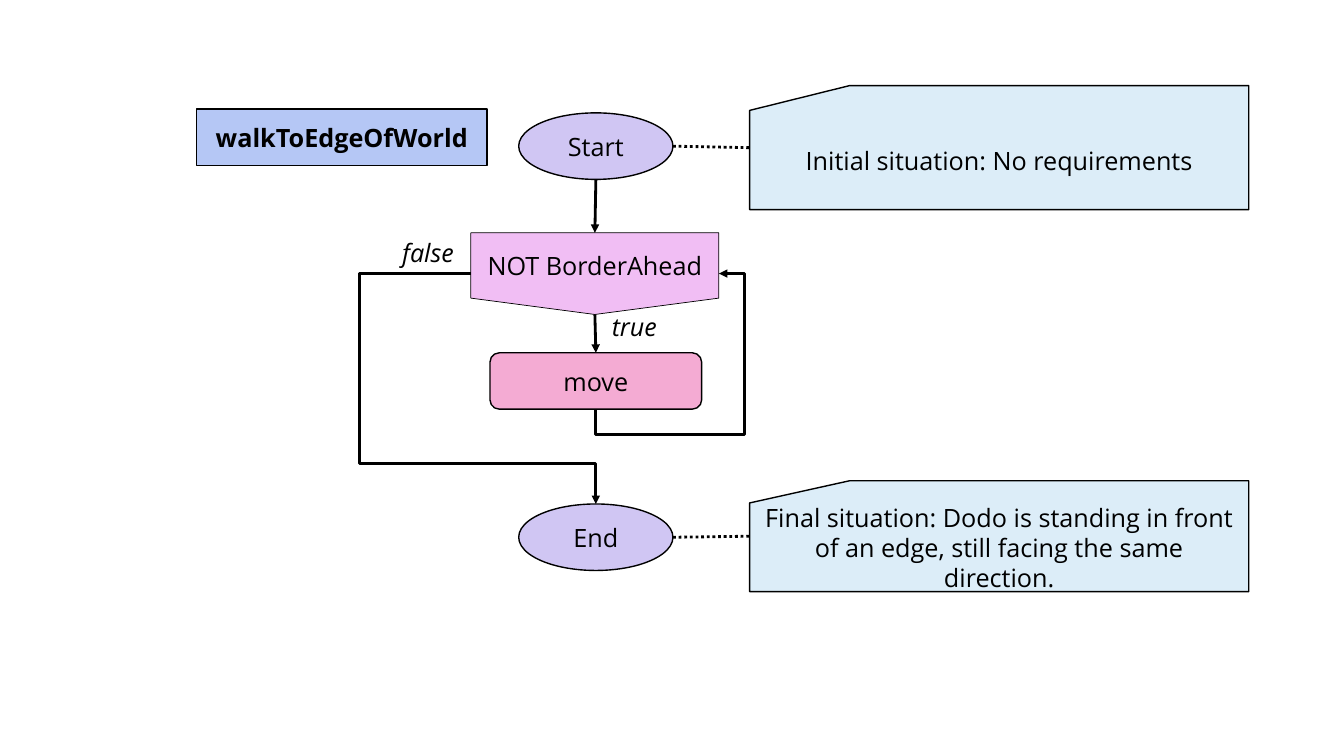
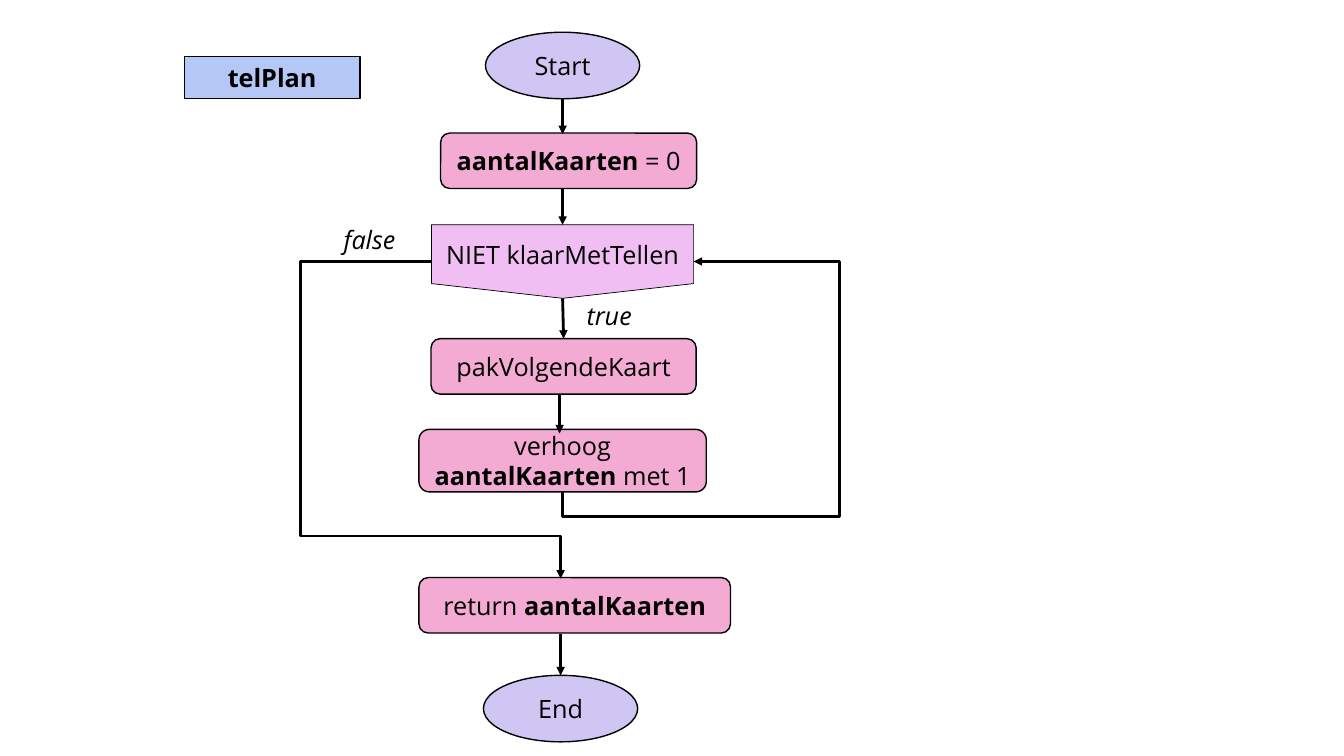
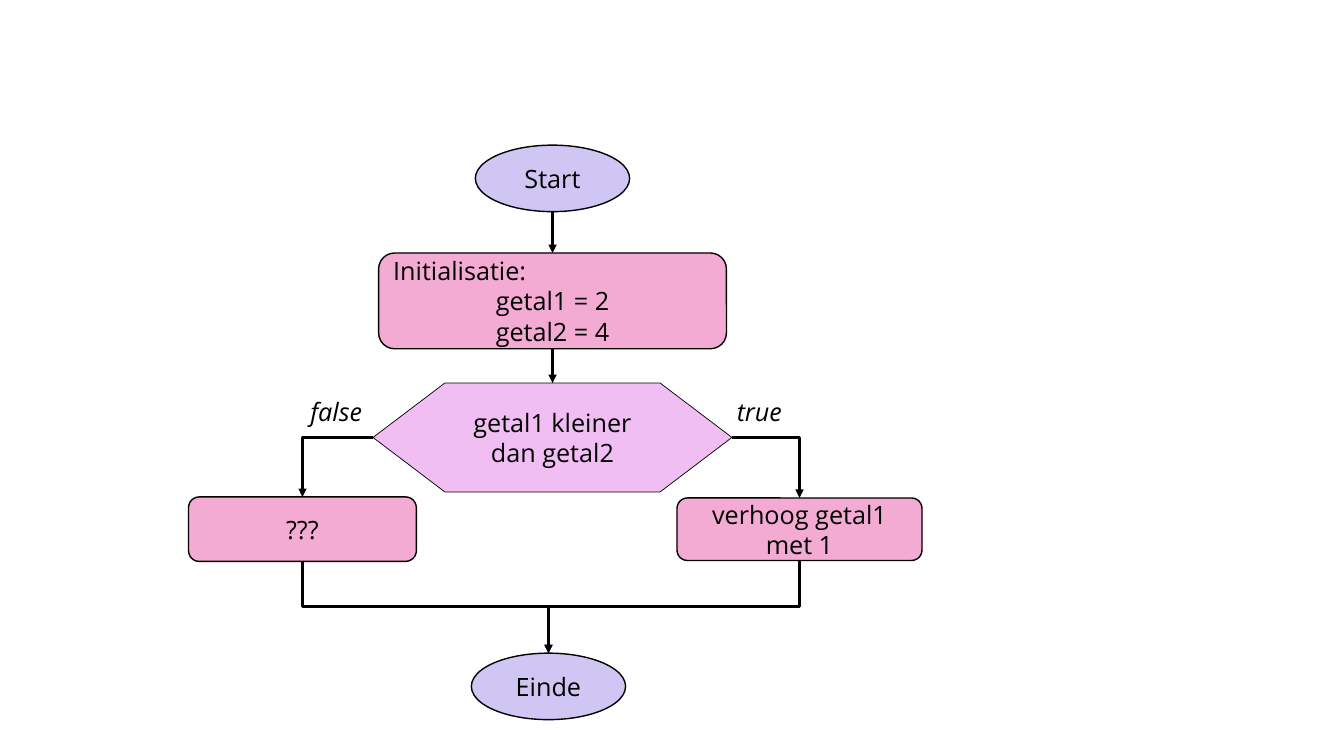
from dataclasses import dataclass
from typing import Any

from lxml import etree
from pptx import Presentation
from pptx.dml.color import RGBColor
from pptx.enum.dml import MSO_LINE
from pptx.enum.shapes import MSO_CONNECTOR, MSO_SHAPE
from pptx.enum.text import MSO_ANCHOR, MSO_AUTO_SIZE, PP_ALIGN
from pptx.oxml.ns import qn
from pptx.util import Inches, Pt

STRAIGHT, ELBOW = MSO_CONNECTOR.STRAIGHT, MSO_CONNECTOR.ELBOW
ELLIPSE = MSO_SHAPE.OVAL
CENTER, LEFT_ALIGNED = PP_ALIGN.CENTER, PP_ALIGN.LEFT
MIDDLE = MSO_ANCHOR.MIDDLE
GROW = MSO_AUTO_SIZE.SHAPE_TO_FIT_TEXT
DOTTED = MSO_LINE.ROUND_DOT
TOP, LEFT, BOTTOM, RIGHT = range(4)

COLORS = {
    "ink": "000000",
    "terminal": "D0C6F3",
    "action": "F4ABD3",
    "title": "B5C7F5",
    "condition": "F1BEF4",
    "situation": "DCEDF8",
}
# kind: preset shape, colour, outline width
KINDS = {
    "terminal": (ELLIPSE, "terminal", 1),
    "action": (MSO_SHAPE.ROUNDED_RECTANGLE, "action", 1),
    "title": (MSO_SHAPE.RECTANGLE, "title", 1),
    "loop": (MSO_SHAPE.FLOWCHART_OFFPAGE_CONNECTOR, "condition", 0.5),
    "choice": (MSO_SHAPE.FLOWCHART_PREPARATION, "condition", 0.5),
    "situation": (MSO_SHAPE.FLOWCHART_CARD, "situation", 1),
}
FONT = {"name": "Open Sans", "size": Pt(18)}
TERMINAL_SIZE = (1.53, 0.66)
LABEL_WIDTHS = {"true": 0.7, "false": 0.78}
# Direction in which an elbow leaves each side, in degrees
ROTATIONS = {RIGHT: 0, BOTTOM: 90, LEFT: 180}


def color(name):
    return RGBColor.from_string(COLORS[name])


def write(paragraph, text, **extra):
    """Write text in which *stars* enclose bold words."""
    for index, part in enumerate(text.split("*")):
        if part:
            run = paragraph.add_run()
            run.text = part
            for key, value in {**FONT, "bold": index % 2 == 1, **extra}.items():
                setattr(run.font, key, value)
            run.font.color.rgb = color("ink")


def side_point(shape, side):
    """Return the middle of a side of a shape."""
    return {
        TOP: (shape.left + shape.width // 2, shape.top),
        LEFT: (shape.left, shape.top + shape.height // 2),
        BOTTOM: (shape.left + shape.width // 2, shape.top + shape.height),
        RIGHT: (shape.left + shape.width, shape.top + shape.height // 2),
    }[side]


def bend(connector, start, end, side, turns):
    """Shape an elbow that leaves the given side and turns at the given places."""
    rotation = ROTATIONS[side]
    axis = 1 if side == BOTTOM else 0
    dx, dy = end[0] - start[0], end[1] - start[1]
    along, across = {0: (dx, dy), 90: (dy, -dx), 180: (-dx, -dy)}[rotation]

    connector.width, connector.height = abs(along), abs(across)
    connector.left = (start[0] + end[0] - abs(along)) // 2
    connector.top = (start[1] + end[1] - abs(across)) // 2
    properties = connector._element.spPr
    frame = properties.find(qn("a:xfrm"))
    for key, value in {"rot": rotation * 60000, "flipH": int(along < 0),
                       "flipV": int(across < 0)}.items():
        frame.set(key, str(value))

    geometry = properties.find(qn("a:prstGeom"))
    geometry.set("prst", f"bentConnector{2 + len(turns)}")
    guides = geometry.find(qn("a:avLst"))
    if guides is None:
        guides = etree.SubElement(geometry, qn("a:avLst"))
    for number, turn in enumerate(turns):
        way = (axis + number) % 2
        share = (turn - start[way]) / (end[way] - start[way])
        etree.SubElement(guides, qn("a:gd"), name=f"adj{number + 1}",
                         fmla=f"val {round(share * 100000)}")


@dataclass
class Flow:
    """A flowchart on a slide, measured in inches from its top left corner."""
    slide: Any
    left: float
    top: float

    def place(self, x, y):
        return Inches(self.left + x), Inches(self.top + y)

    def node(self, kind, text, center, top, width, height):
        preset, fill, outline = KINDS[kind]
        shape = self.slide.shapes.add_shape(
            preset, *self.place(center - width / 2, top), Inches(width), Inches(height))
        shape.shadow.inherit = False
        shape.fill.solid()
        shape.fill.fore_color.rgb = color(fill)
        shape.line.color.rgb = color("ink")
        shape.line.width = Pt(outline)
        frame = shape.text_frame
        frame.vertical_anchor = MIDDLE
        for index, line in enumerate(text.split("\n")):
            paragraph = frame.add_paragraph() if index else frame.paragraphs[0]
            paragraph.alignment = CENTER
            write(paragraph, line)
        return shape

    def terminal(self, text, center, top):
        return self.node("terminal", text, center, top, *TERMINAL_SIZE)

    def label(self, text, left, top):
        box = self.slide.shapes.add_textbox(
            *self.place(left, top), Inches(LABEL_WIDTHS[text]), Inches(0.4))
        box.text_frame.word_wrap = False
        box.text_frame.auto_size = GROW
        write(box.text_frame.paragraphs[0], text, italic=True)

    def link(self, start, end, turns=None, dotted=False):
        """Join two ends, each a (shape, side) or a free (x, y); turns make an elbow."""
        glued = [not isinstance(tip[0], (int, float)) for tip in (start, end)]
        tips = [side_point(*tip) if glue else self.place(*tip)
                for tip, glue in zip((start, end), glued)]
        connector = self.slide.shapes.add_connector(
            STRAIGHT if turns is None else ELBOW, *tips[0], *tips[1])
        joins = ((start, connector.begin_connect, "a:stCxn"),
                 (end, connector.end_connect, "a:endCxn"))
        for (tip, join, tag), glue in zip(joins, glued):
            if glue:
                shape, side = tip
                join(shape, side)
                if shape.auto_shape_type == ELLIPSE:  # an ellipse has eight sites
                    next(connector._element.iter(qn(tag))).set("idx", str(side * 2))
        if turns is not None:
            axis = 1 if start[1] == BOTTOM else 0
            places = [self.place(turn, turn)[(axis + number) % 2]
                      for number, turn in enumerate(turns)]
            bend(connector, *tips, start[1], places)

        connector.line.color.rgb = color("ink")
        connector.line.width = Pt(2)
        if dotted:
            connector.line.dash_style = DOTTED
        else:
            etree.SubElement(connector.line._get_or_add_ln(), qn("a:tailEnd"), type="triangle")
        etree.SubElement(connector._element.spPr, qn("a:effectLst"))


def walk_to_edge(slide, left, top):
    flow = Flow(slide, left, top)
    axis, notes = 3.96, 7.96
    flow.node("title", "*walkToEdgeOfWorld*", 1.44, 0.23, 2.88, 0.56)
    start = flow.terminal("Start", axis, 0.27)
    border = flow.node("loop", "NOT BorderAhead", axis - 0.01, 1.46, 2.46, 0.81)
    move = flow.node("action", "move", axis, 2.65, 2.1, 0.56)
    end = flow.terminal("End", axis, 4.15)
    initial = flow.node("situation", "Initial situation: No requirements",
                        notes, 0, 4.95, 1.23)
    final = flow.node("situation", "Final situation: Dodo is standing in front of an edge, "
                      "still facing the same direction.", notes, 3.92, 4.95, 1.1)
    flow.label("false", 1.94, 1.46)
    flow.label("true", 4.02, 2.19)
    for upper, lower in ((start, border), (border, move)):
        flow.link((upper, BOTTOM), (lower, TOP))
    for terminal, situation in ((start, initial), (end, final)):
        flow.link((terminal, RIGHT), (situation, LEFT), dotted=True)
    flow.link((move, BOTTOM), (border, RIGHT), turns=(3.46, 5.43))
    flow.link((border, LEFT), (end, TOP), turns=(1.62, 3.75))


def count_plan(slide, left, top):
    flow = Flow(slide, left, top)
    axis = 3.75
    exit_axis = axis - 0.02
    flow.node("title", "*telPlan*", 0.87, 0.24, 1.74, 0.42)
    start = flow.terminal("Start", axis, 0)
    flow.node("action", "*aantalKaarten* = 0", 3.81, 1, 2.54, 0.55)
    counting = flow.node("loop", "NIET klaarMetTellen", axis, 1.91, 2.6, 0.73)
    draw_card = flow.node("action", "pakVolgendeKaart", axis + 0.01, 3.04, 2.63, 0.55)
    increase = flow.node("action", "verhoog *aantalKaarten* met 1", axis, 3.94, 2.85, 0.62)
    flow.node("action", "return *aantalKaarten*", 3.87, 5.41, 3.09, 0.55)
    end = flow.terminal("End", exit_axis, 6.38)
    flow.label("false", 1.48, 1.86)
    flow.label("true", 3.89, 2.61)
    flow.link((start, BOTTOM), (axis, 1.01))
    flow.link((axis, 1.56), (counting, TOP))
    flow.link((counting, BOTTOM), (draw_card, TOP))
    flow.link((axis - 0.03, 3.59), (axis - 0.03, 3.98))
    flow.link((exit_axis, 5.97), (end, TOP))
    flow.link((increase, BOTTOM), (counting, RIGHT), turns=(4.81, 6.5))
    flow.link((counting, LEFT), (exit_axis, 5.42), turns=(1.15, 5))


def compare_numbers(slide, left, top):
    flow = Flow(slide, left, top)
    axis = 3.61
    start = flow.terminal("Start", axis, 0)
    setup = flow.node("action", "Initialisatie:\ngetal1 = 2\ngetal2 = 4", axis, 1.07, 3.45, 0.95)
    setup.text_frame.paragraphs[0].alignment = LEFT_ALIGNED
    smaller = flow.node("choice", "getal1 kleiner dan getal2", axis, 2.36, 3.56, 1.08)
    unknown = flow.node("action", "???", 1.13, 3.49, 2.26, 0.64)
    increase = flow.node("action", "verhoog getal1 met 1", 6.06, 3.5, 2.43, 0.62)
    end = flow.terminal("Einde", 3.57, 5.04)
    flow.label("false", 1.11, 2.44)
    flow.label("true", 5.34, 2.44)
    for upper, lower in ((start, setup), (setup, smaller)):
        flow.link((upper, BOTTOM), (lower, TOP))
    for side, branch in ((LEFT, unknown), (RIGHT, increase)):
        flow.link((smaller, side), (branch, TOP), turns=())
        flow.link((branch, BOTTOM), (end, TOP), turns=(4.58,))


def main():
    deck = Presentation()
    deck.slide_width, deck.slide_height = Inches(13.33), Inches(7.5)
    blank = deck.slide_layouts[6]
    for build, left, top in ((walk_to_edge, 1.95, 0.85), (count_plan, 1.83, 0.32),
                             (compare_numbers, 1.87, 1.44)):
        build(deck.slides.add_slide(blank), left, top)
    deck.save("out.pptx")


if __name__ == "__main__":
    main()
